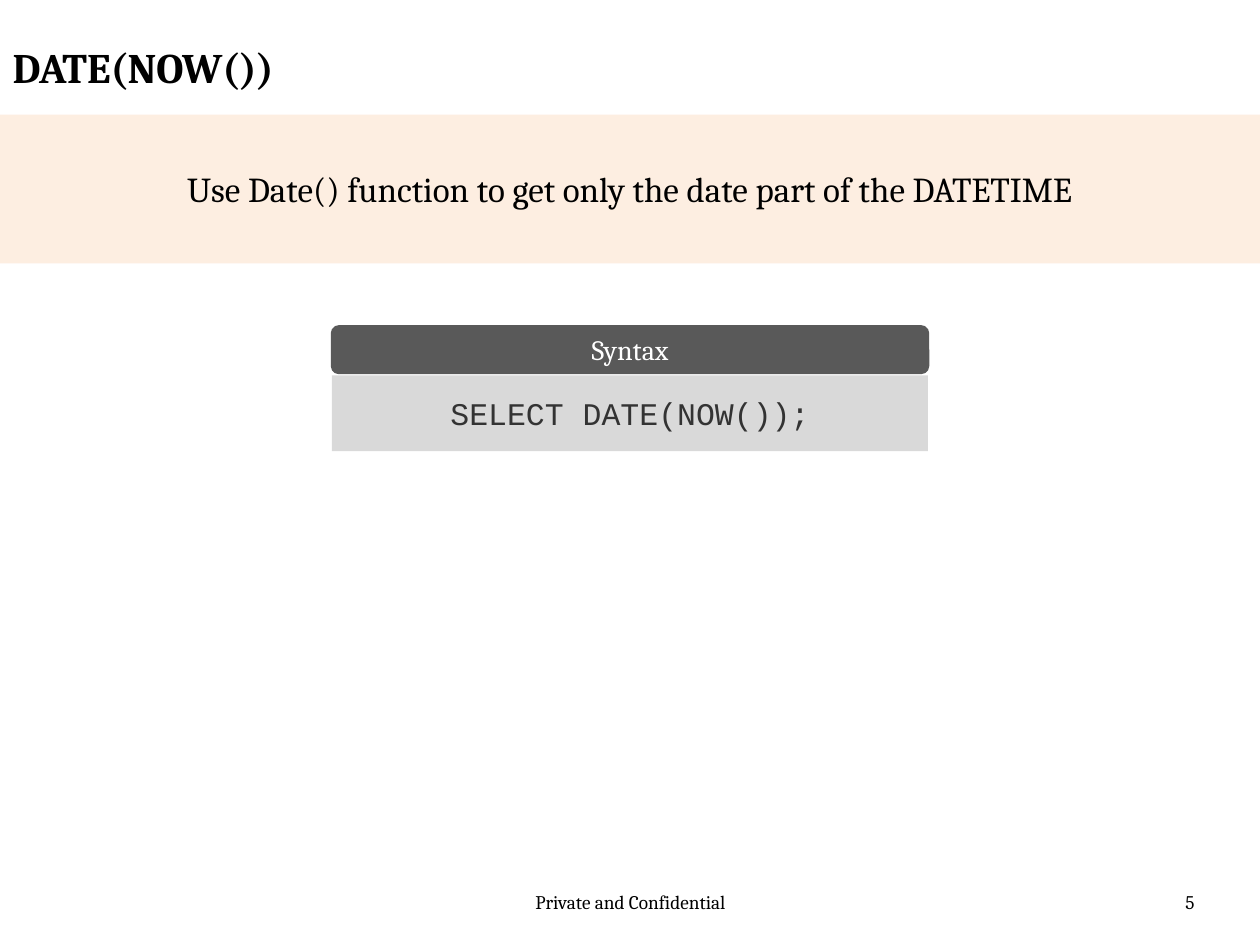
"""Build a slide that explains the DATE(NOW()) expression."""
from lxml import etree
from pptx import Presentation
from pptx.dml.color import RGBColor
from pptx.enum.shapes import MSO_SHAPE
from pptx.enum.text import MSO_ANCHOR, MSO_AUTO_SIZE, PP_ALIGN
from pptx.oxml.ns import qn
from pptx.util import Inches, Pt

LEFT, CENTER, RIGHT = PP_ALIGN.LEFT, PP_ALIGN.CENTER, PP_ALIGN.RIGHT
TOP, MIDDLE = MSO_ANCHOR.TOP, MSO_ANCHOR.MIDDLE
RECTANGLE, ROUNDED = MSO_SHAPE.RECTANGLE, MSO_SHAPE.ROUNDED_RECTANGLE

TITLE = "DATE(NOW())"
MESSAGE = "Use Date() function to get only the date part of the DATETIME"
SYNTAX_LABEL = "Syntax"
SYNTAX_CODE = "SELECT DATE(NOW());"
FOOTERS = [
    ("Private and Confidential", (3.42, 7.02, 3.17, 0.4), CENTER),
    ("5", (7.25, 7.02, 2.33, 0.4), RIGHT),
]

THEME = {
    "band": "FDEADA", "band_opacity": 79, "header": "595959", "panel": "D9D9D9",
    "title": ("Cambria", 24, "000000"),
    "message": ("Cambria", 20, "000000"),
    "label": ("Cambria", 16, "FFFFFF"),
    "code": ("Courier New", 18, "333333"),
    "footer": ("Cambria", 11, "000000"),
}
SLIDE_WIDTH, SLIDE_HEIGHT = 10, 7.5


def write(target, text, style, align=CENTER, anchor=MIDDLE, bold=False):
    frame = target.text_frame
    frame.word_wrap = True
    frame.auto_size = MSO_AUTO_SIZE.NONE
    frame.vertical_anchor = anchor
    paragraph = frame.paragraphs[0]
    paragraph.alignment = align
    run = paragraph.add_run()
    run.text = text
    face, size, color = THEME[style]
    run.font.name, run.font.size, run.font.bold = face, Pt(size), bold
    run.font.color.rgb = RGBColor.from_string(color)


def add_panel(shapes, preset, box, fill, text, style):
    panel = shapes.add_shape(preset, *map(Inches, box))
    panel.shadow.inherit = False
    panel.fill.solid()
    panel.fill.fore_color.rgb = RGBColor.from_string(THEME[fill])
    panel.line.fill.background()
    write(panel, text, style)
    return panel


def centered(top, width, height):
    return (SLIDE_WIDTH - width) / 2, top, width, height


def main():
    deck = Presentation()
    deck.slide_width, deck.slide_height = Inches(SLIDE_WIDTH), Inches(SLIDE_HEIGHT)
    slide = deck.slides.add_slide(deck.slide_layouts[5])

    for text, box, align in FOOTERS:
        footer = slide.shapes.add_textbox(*map(Inches, box))
        write(footer, text, "footer", align, TOP)

    title = slide.shapes.title
    title.left, title.top, title.width, title.height = map(Inches, (0, 0.22, 7.59, 0.62))
    write(title, TITLE, "title", LEFT, bold=True)

    band = add_panel(slide.shapes, RECTANGLE, centered(0.91, SLIDE_WIDTH, 1.18),
                     "band", MESSAGE, "message")
    band_color = band.fill._xPr.find(qn("a:solidFill"))[0]
    etree.SubElement(band_color, qn("a:alpha"), val=str(THEME["band_opacity"] * 1000))

    syntax = slide.shapes.add_group_shape().shapes
    add_panel(syntax, ROUNDED, centered(2.58, 4.75, 0.39), "header", SYNTAX_LABEL, "label")
    code = add_panel(syntax, ROUNDED, centered(2.98, 4.73, 0.6), "panel", SYNTAX_CODE, "code")
    code.adjustments[0] = 0

    deck.save("out.pptx")


if __name__ == "__main__":
    main()
